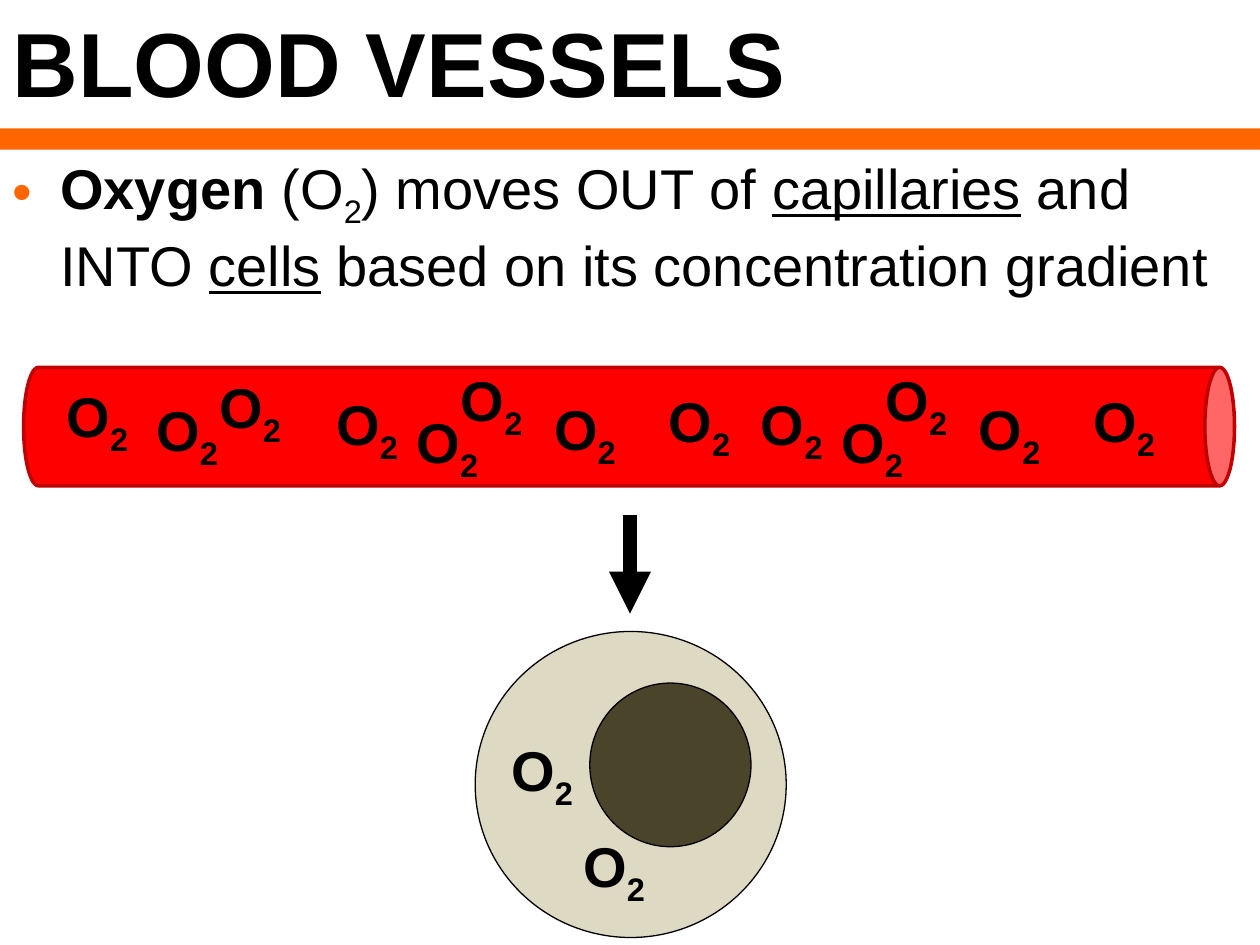
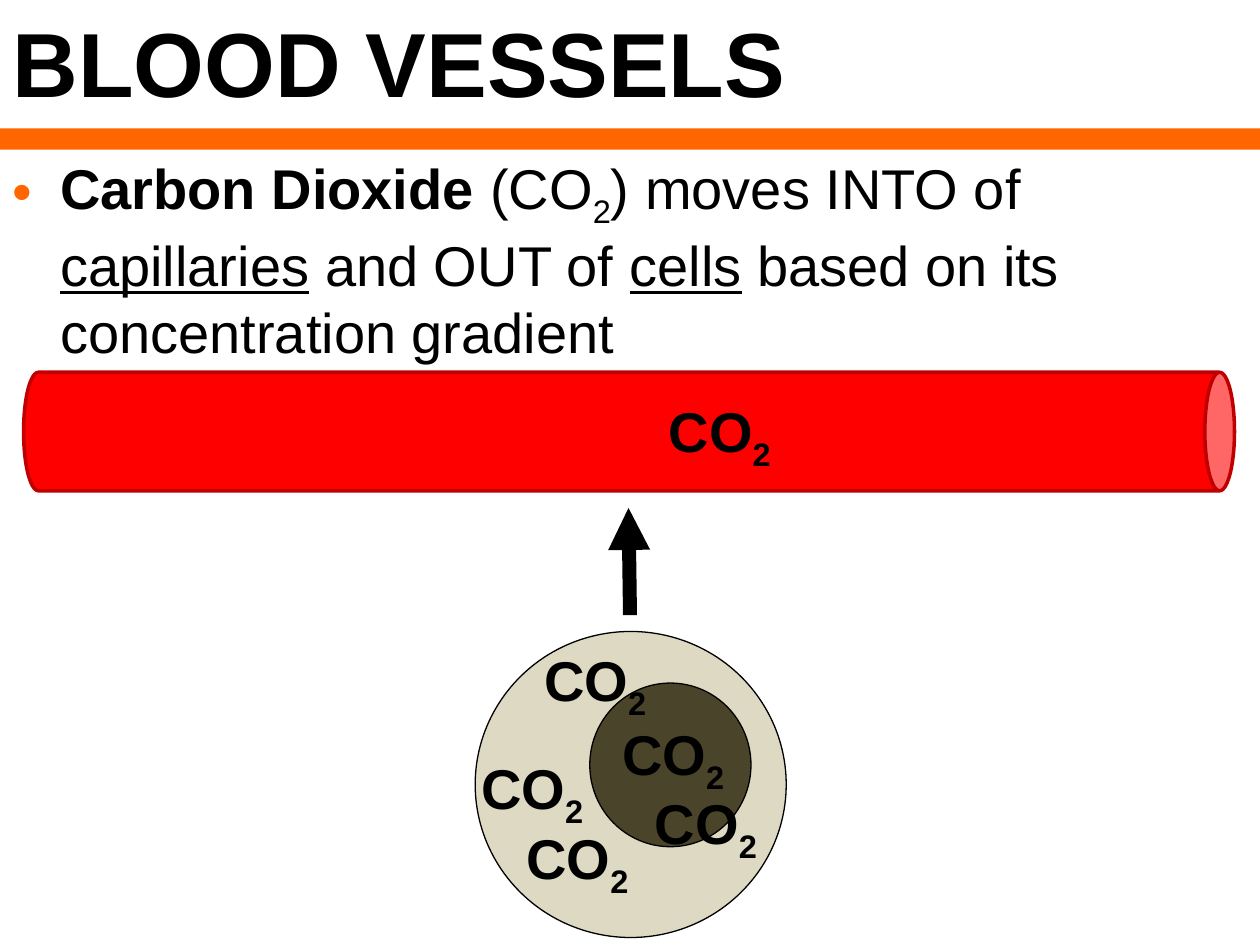
from dataclasses import dataclass

import lxml.etree
import pptx
import pptx.dml.color
import pptx.enum.shapes
import pptx.enum.text
import pptx.oxml.ns
import pptx.util

Cm = pptx.util.Cm
Pt = pptx.util.Pt
ShapeKind = pptx.enum.shapes.MSO_SHAPE


@dataclass(frozen=True)
class Theme:
    font: str = "Arial"
    title_size: float = 52
    text_size: float = 32
    ink: str = "000000"
    accent: str = "FF6600"
    vessel: str = "FF0000"
    vessel_edge: str = "C00000"
    cell: str = "DDD9C3"
    nucleus: str = "4A452A"
    outline: float = 0.75
    vessel_outline: float = 2
    arrow_width: float = 8


@dataclass(frozen=True)
class Box:
    """A rectangle in centimetres."""
    left: float
    top: float
    width: float
    height: float

    def lengths(self) -> tuple:
        return Cm(self.left), Cm(self.top), Cm(self.width), Cm(self.height)


@dataclass(frozen=True)
class Piece:
    text: str
    bold: bool = False
    underline: bool = False
    subscript: bool = False


@dataclass(frozen=True)
class GasSlide:
    sentence: list[Piece]
    gas: str
    label_width: float
    labels: list[tuple[float, float]]
    vessel_middle: float
    arrow: tuple[float, float, float, float]


THEME = Theme()
TITLE = "BLOOD VESSELS"
TITLE_BOX = Box(0, 0, 17.58, 3.18)
BODY_BOX = Box(0, 2.97, 25.4, 12.57)
BAND_BOX = Box(0, 2.59, 25.4, 0.43)
CELL_BOX = Box(9.58, 12.73, 6.27, 6.17)
NUCLEUS_BOX = Box(11.89, 13.77, 3.25, 3.3)
VESSEL_CENTRE, VESSEL_LENGTH, VESSEL_THICKNESS = 12.68, 24.41, 2.39
LABEL_HEIGHT = 2.03
HANGING_INDENT = 0.96

# The second cluster of oxygen repeats the first, further along the vessel.
CLUSTER = [(6.53, 7.72), (8.15, 8.1), (9.04, 7.24), (10.92, 7.82), (13.23, 7.67)]
CLUSTER_SHIFT = 8.56

SLIDES = [
    GasSlide(
        sentence=[
            Piece("Oxygen ", bold=True), Piece("(O"), Piece("2", subscript=True),
            Piece(") moves OUT of "), Piece("capillaries", underline=True),
            Piece(" and INTO "), Piece("cells", underline=True),
            Piece(" based on its concentration gradient"),
        ],
        gas="O",
        label_width=2.31,
        labels=[(1.09, 7.57), (2.9, 7.85), (4.17, 7.39), *CLUSTER,
                *((left + CLUSTER_SHIFT, top) for left, top in CLUSTER),
                (10.06, 14.71), (11.51, 16.64)],
        vessel_middle=8.6,
        arrow=(12.7, 10.39, 12.7, 12.37),
    ),
    GasSlide(
        sentence=[
            Piece("Carbon Dioxide ", bold=True), Piece("(CO"), Piece("2", subscript=True),
            Piece(") moves INTO of "), Piece("capillaries", underline=True),
            Piece(" and OUT of "), Piece("cells", underline=True),
            Piece(" based on its concentration gradient"),
        ],
        gas="CO",
        label_width=2.9,
        labels=[(13.23, 7.87), (9.45, 15.06), (10.36, 16.48),
                (12.29, 14.38), (12.95, 15.77), (10.72, 12.88)],
        vessel_middle=8.7,
        arrow=(12.7, 12.4, 12.67, 10.24),
    ),
]


def rgb(colour: str) -> pptx.dml.color.RGBColor:
    return pptx.dml.color.RGBColor.from_string(colour)


def add_element(parent, tag: str, **attributes: str):
    return lxml.etree.SubElement(parent, pptx.oxml.ns.qn(tag), **attributes)


def write_text(shape, pieces: list[Piece], *, size: float = THEME.text_size,
               colour: str = THEME.ink, bullet: str = "") -> None:
    frame = shape.text_frame
    frame.word_wrap = True
    frame.auto_size = pptx.enum.text.MSO_AUTO_SIZE.NONE
    frame.vertical_anchor = pptx.enum.text.MSO_ANCHOR.TOP
    paragraph = frame.paragraphs[0]
    paragraph.alignment = pptx.enum.text.PP_ALIGN.LEFT
    paragraph.space_before = Pt(0)
    if bullet:
        add_bullet(paragraph, bullet)
    for piece in pieces:
        run = paragraph.add_run()
        run.text = piece.text
        run.font.name = THEME.font
        run.font.size = Pt(size)
        run.font.bold = piece.bold
        run.font.underline = piece.underline
        run.font.color.rgb = rgb(colour)
        if piece.subscript:
            run.font._element.set("baseline", "-25000")


def add_bullet(paragraph, character: str) -> None:
    properties = paragraph._p.get_or_add_pPr()
    properties.set("marL", str(Cm(HANGING_INDENT)))
    properties.set("indent", str(-Cm(HANGING_INDENT)))
    add_element(add_element(properties, "a:buClr"), "a:srgbClr", val=THEME.accent)
    add_element(properties, "a:buChar", char=character)


def fill_placeholder(placeholder, box: Box, pieces: list[Piece], **text_format) -> None:
    placeholder.left, placeholder.top, placeholder.width, placeholder.height = box.lengths()
    write_text(placeholder, pieces, **text_format)


def draw_shape(shapes, kind: ShapeKind, box: Box, fill: str, *,
               line: str = "", line_width: float = THEME.outline):
    shape = shapes.add_shape(kind, *box.lengths())
    shape.shadow.inherit = False
    shape.fill.solid()
    shape.fill.fore_color.rgb = rgb(fill)
    if line:
        shape.line.color.rgb = rgb(line)
        shape.line.width = Pt(line_width)
    else:
        shape.line.fill.background()
    return shape


def draw_vessel(shapes, middle: float) -> None:
    """Lay a can on its side, centred at the given height."""
    box = Box(VESSEL_CENTRE - VESSEL_THICKNESS / 2, middle - VESSEL_LENGTH / 2,
              VESSEL_THICKNESS, VESSEL_LENGTH)
    vessel = draw_shape(shapes, ShapeKind.CAN, box, THEME.vessel,
                        line=THEME.vessel_edge, line_width=THEME.vessel_outline)
    vessel.rotation = 90


def draw_cell(shapes) -> None:
    group = shapes.add_group_shape()
    for box, fill in ((CELL_BOX, THEME.cell), (NUCLEUS_BOX, THEME.nucleus)):
        draw_shape(group.shapes, ShapeKind.OVAL, box, fill, line=THEME.ink)


def draw_arrow(shapes, ends: tuple[float, float, float, float]) -> None:
    arrow = shapes.add_connector(pptx.enum.shapes.MSO_CONNECTOR.STRAIGHT, *map(Cm, ends))
    arrow.line.color.rgb = rgb(THEME.ink)
    arrow.line.width = Pt(THEME.arrow_width)
    add_element(arrow.line._get_or_add_ln(), "a:tailEnd", type="triangle")
    add_element(arrow._element.spPr, "a:effectLst")


def draw_slide(presentation, content: GasSlide) -> None:
    slide = presentation.slides.add_slide(presentation.slide_layouts[1])
    shapes = slide.shapes
    fill_placeholder(shapes.title, TITLE_BOX, [Piece(TITLE, bold=True)], size=THEME.title_size)
    fill_placeholder(slide.placeholders[1], BODY_BOX, content.sentence, bullet="•")
    draw_vessel(shapes, content.vessel_middle)
    draw_cell(shapes)
    draw_shape(shapes, ShapeKind.RECTANGLE, BAND_BOX, THEME.accent)
    draw_arrow(shapes, content.arrow)
    formula = [Piece(content.gas, bold=True), Piece("2", bold=True, subscript=True)]
    for left, top in content.labels:
        box = Box(left, top, content.label_width, LABEL_HEIGHT)
        write_text(shapes.add_textbox(*box.lengths()), formula)


def main() -> None:
    presentation = pptx.Presentation()
    presentation.slide_width, presentation.slide_height = Cm(25.4), Cm(19.05)
    for content in SLIDES:
        draw_slide(presentation, content)
    presentation.save("out.pptx")


if __name__ == "__main__":
    main()
